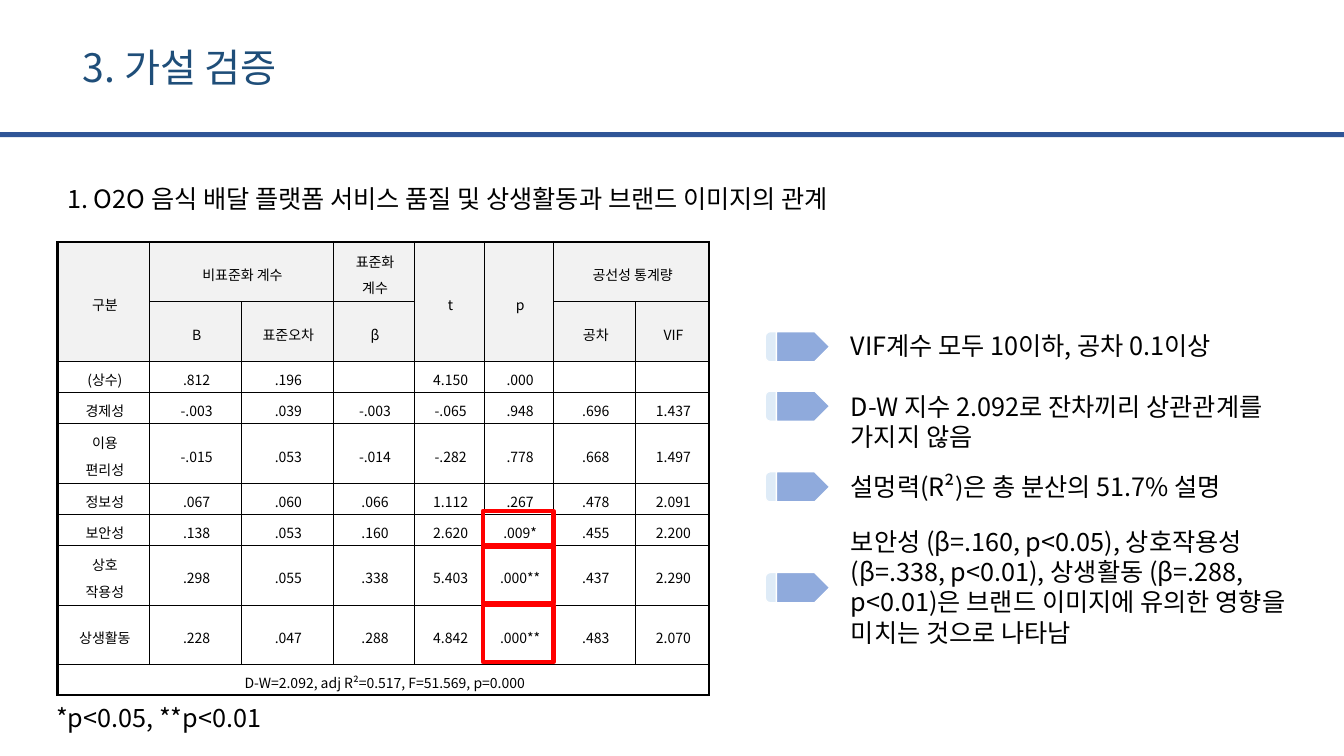
from lxml.etree import SubElement
from pptx import Presentation
from pptx.dml.color import RGBColor
from pptx.enum.shapes import MSO_SHAPE
from pptx.enum.text import MSO_ANCHOR, MSO_AUTO_SIZE, PP_ALIGN
from pptx.oxml import parse_xml
from pptx.oxml.ns import nsdecls, qn
from pptx.util import Inches, Pt

FONT = "Noto Sans CJK KR"
BLACK = RGBColor(0x00, 0x00, 0x00)
WHITE = RGBColor(0xFF, 0xFF, 0xFF)
TITLE_BLUE = RGBColor(0x1F, 0x4E, 0x79)
RULE_BLUE = RGBColor(0x2F, 0x55, 0x97)
HEADER_GRAY = RGBColor(0xF2, 0xF2, 0xF2)
PALE_BLUE = RGBColor(0xDE, 0xEB, 0xF7)
ARROW_BLUE = RGBColor(0x8F, 0xAA, 0xDC)
RED = RGBColor(0xFF, 0x00, 0x00)

TITLE = "3. 가설 검증"
SUBTITLE = "1. O2O 음식 배달 플랫폼 서비스 품질 및 상생활동과 브랜드 이미지의 관계"
FOOTNOTE = "*p<0.05, **p<0.01"
TABLE_ROWS = [
    ["구분", "비표준화 계수", "", "표준화\n계수", "t", "p", "공선성 통계량", ""],
    ["", "B", "표준오차", "β", "", "", "공차", "VIF"],
    ["(상수)", ".812", ".196", "", "4.150", ".000", "", ""],
    ["경제성", "-.003", ".039", "-.003", "-.065", ".948", ".696", "1.437"],
    ["이용\n편리성", "-.015", ".053", "-.014", "-.282", ".778", ".668", "1.497"],
    ["정보성", ".067", ".060", ".066", "1.112", ".267", ".478", "2.091"],
    ["보안성", ".138", ".053", ".160", "2.620", ".009*", ".455", "2.200"],
    ["상호\n작용성", ".298", ".055", ".338", "5.403", ".000**", ".437", "2.290"],
    ["상생활동", ".228", ".047", ".288", "4.842", ".000**", ".483", "2.070"],
    ["D-W=2.092, adj R²=0.517, F=51.569, p=0.000"] + [""] * 7,
]
HEADER_ROWS = 2
COLUMN_WIDTHS = [0.91, 0.91, 0.91, 0.81, 0.69, 0.69, 0.81, 0.73]
TALL, SHORT = 0.59, 0.31
ROW_HEIGHTS = [TALL, TALL, SHORT, SHORT, TALL, SHORT, SHORT, TALL, TALL, SHORT]
MERGES = [
    ((0, 0), (1, 0)), ((0, 1), (0, 2)), ((0, 4), (1, 4)),
    ((0, 5), (1, 5)), ((0, 6), (0, 7)), ((9, 0), (9, 7)),
]
HIGHLIGHTS = [(5.07, 0.36), (5.41, 0.57), (6.0, 0.57)]
FINDINGS = [
    ("VIF계수 모두 10이하, 공차 0.1이상", 3.23, 4.5, 0.4, 3.29),
    ("D-W 지수 2.092로 잔차끼리 상관관계를 가지지 않음", 3.83, 4.5, 0.71, 3.88),
    ("설멍력(R²)은 총 분산의 51.7% 설명", 4.63, 4.5, 0.4, 4.68),
    ("보안성 (β=.160, p<0.05), 상호작용성(β=.338, p<0.01), 상생활동 (β=.288, "
     "p<0.01)은 브랜드 이미지에 유의한 영향을 미치는 것으로 나타남", 5.17, 4.68, 1.31, 5.68),
]


def format_text(paragraph, size, color=BLACK):
    for run in paragraph.runs:
        run.font.size = Pt(size)
        run.font.color.rgb = color
        run.font.name = FONT
        latin = run.font._element.find(qn("a:latin"))
        latin.addnext(parse_xml(f'<a:ea {nsdecls("a")} typeface="{FONT}"/>'))


def place(shape, left, top, width, height):
    shape.left, shape.top = Inches(left), Inches(top)
    shape.width, shape.height = Inches(width), Inches(height)


def add_text(slide, text, left, top, width, height):
    box = slide.shapes.add_textbox(*map(Inches, (left, top, width, height)))
    box.text_frame.word_wrap = True
    box.text_frame.text = text
    format_text(box.text_frame.paragraphs[0], 18)


def add_block(shapes, kind, position, fill=None, line=None, line_width=1):
    shape = shapes.add_shape(kind, *map(Inches, position))
    shape.shadow.inherit = False
    if fill is None:
        shape.fill.background()
    else:
        shape.fill.solid()
        shape.fill.fore_color.rgb = fill
    if line is None:
        shape.line.fill.background()
    else:
        shape.line.color.rgb = line
        shape.line.width = Pt(line_width)


def set_borders(cell, widths):
    properties = cell._tc.get_or_add_tcPr()
    for index, (side, width) in enumerate(zip("LRTB", widths)):
        border = parse_xml(
            f'<a:ln{side} {nsdecls("a")} w="{Pt(width)}"><a:solidFill>'
            f'<a:srgbClr val="{BLACK}"/></a:solidFill></a:ln{side}>')
        properties.insert(index, border)


def format_cell(cell, text, is_header):
    cell.margin_left = cell.margin_right = Inches(0.07)
    cell.margin_top = cell.margin_bottom = Inches(0.02)
    cell.vertical_anchor = MSO_ANCHOR.MIDDLE
    if is_header:
        cell.fill.solid()
        cell.fill.fore_color.rgb = HEADER_GRAY
    else:
        cell.fill.background()
    cell.text_frame.text = text
    for paragraph in cell.text_frame.paragraphs:
        paragraph.alignment = PP_ALIGN.CENTER
        paragraph.line_spacing = 1.3
        paragraph._p.get_or_add_pPr().set("marL", str(Inches(0.03)))
        format_text(paragraph, 10)
        if not text:
            SubElement(paragraph._p, qn("a:endParaRPr")).set("sz", "1000")


def add_results_table(slide):
    row_count, column_count = len(ROW_HEIGHTS), len(COLUMN_WIDTHS)
    frame = slide.shapes.add_table(
        row_count, column_count, Inches(0.57), Inches(2.4),
        Inches(sum(COLUMN_WIDTHS)), Inches(sum(ROW_HEIGHTS)))
    table = frame.table
    table.first_row = table.horz_banding = False
    for column, width in zip(table.columns, COLUMN_WIDTHS):
        column.width = Inches(width)
    for row, height in zip(table.rows, ROW_HEIGHTS):
        row.height = Inches(height)
    for first, last in MERGES:
        table.cell(*first).merge(table.cell(*last))
    for row, texts in enumerate(TABLE_ROWS):
        for column, text in enumerate(texts):
            cell = table.cell(row, column)
            format_cell(cell, text, row < HEADER_ROWS)
            outer_edges = (
                column == 0,
                column + cell.span_width == column_count,
                row == 0,
                row + cell.span_height == row_count,
            )
            set_borders(cell, [1.7 if outer else 0.25 for outer in outer_edges])


def add_title(slide):
    title = slide.shapes.title
    place(title, 0.72, 0.38, 2.39, 0.57)
    title.text_frame.text = TITLE
    title.text_frame.word_wrap = False
    title.text_frame.auto_size = MSO_AUTO_SIZE.NONE
    title.text_frame.vertical_anchor = MSO_ANCHOR.TOP
    paragraph = title.text_frame.paragraphs[0]
    paragraph.alignment = PP_ALIGN.LEFT
    format_text(paragraph, 28, TITLE_BLUE)


def main():
    presentation = Presentation()
    presentation.slide_width = Inches(13.33)
    presentation.slide_height = Inches(7.5)
    slide = presentation.slides.add_slide(presentation.slide_layouts[5])
    add_block(slide.shapes, MSO_SHAPE.RECTANGLE, (0, 1.31, 13.33, 0.05), RULE_BLUE)
    add_title(slide)
    add_text(slide, SUBTITLE, 0.57, 1.77, 11.49, 0.4)
    add_results_table(slide)
    for top, height in HIGHLIGHTS:
        add_block(slide.shapes, MSO_SHAPE.RECTANGLE, (4.79, top, 0.7, height),
                  line=RED, line_width=3)
    for text, top, width, height, marker_top in FINDINGS:
        add_text(slide, text, 8.34, top, width, height)
        marker = slide.shapes.add_group_shape()
        add_block(marker.shapes, MSO_SHAPE.ROUNDED_RECTANGLE,
                  (7.59, marker_top, 0.34, 0.3), PALE_BLUE, WHITE)
        add_block(marker.shapes, MSO_SHAPE.PENTAGON,
                  (7.7, marker_top, 0.53, 0.3), ARROW_BLUE, WHITE)
    add_text(slide, FOOTNOTE, 0.46, 6.92, 4.5, 0.4)
    presentation.save("out.pptx")


if __name__ == "__main__":
    main()
